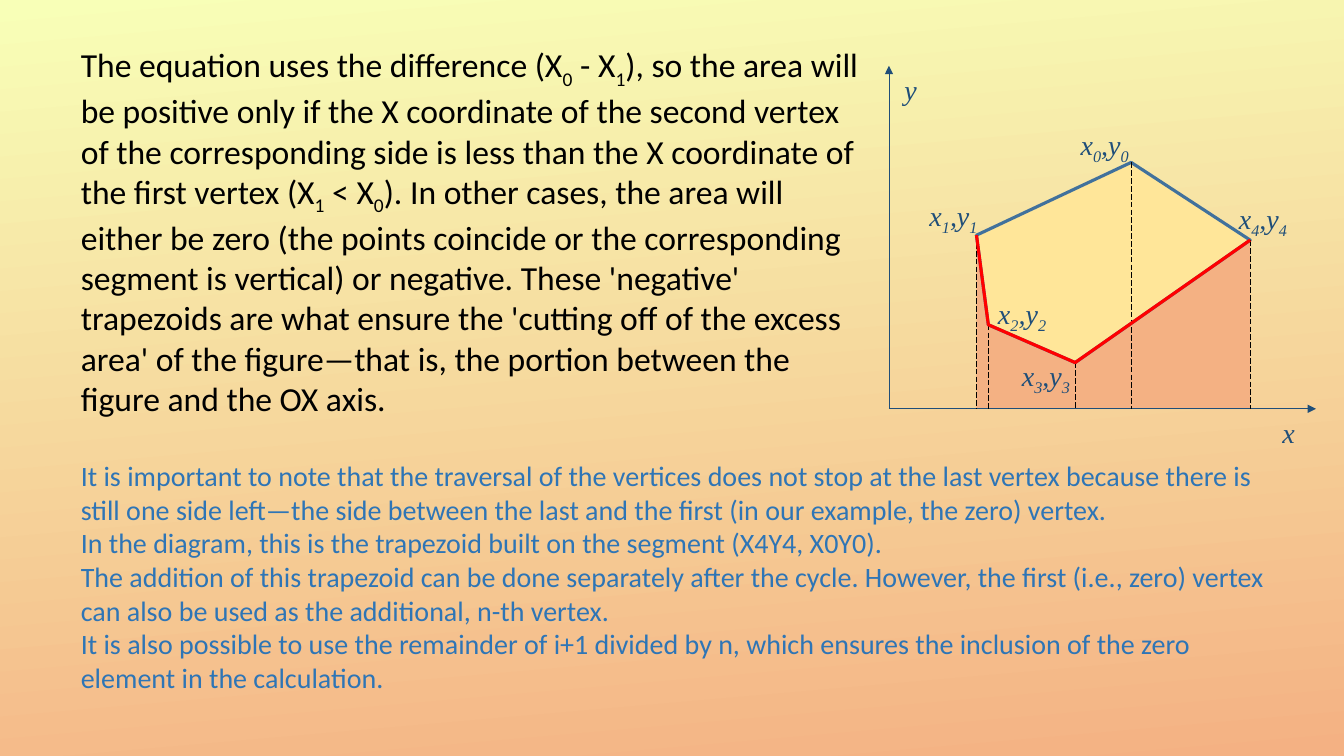
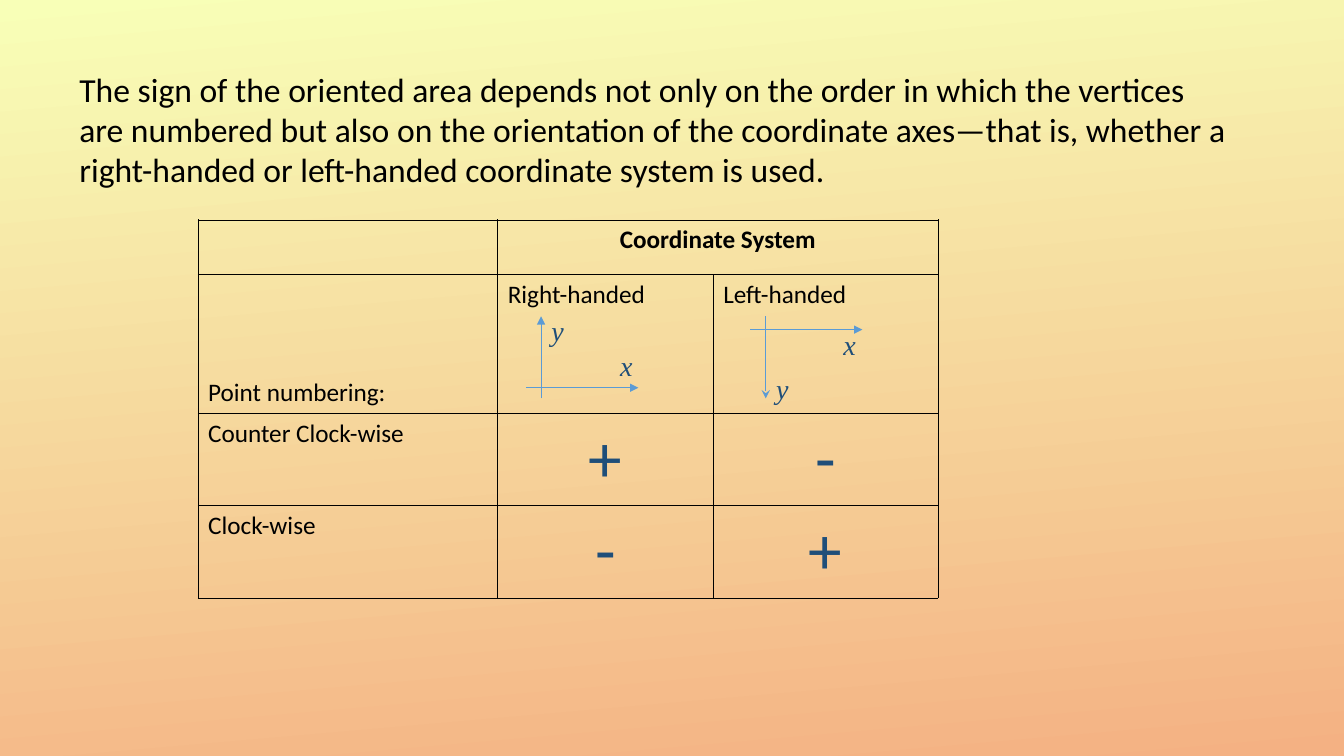
from lxml.etree import SubElement
from pptx import Presentation
from pptx.dml.color import RGBColor
from pptx.enum.dml import MSO_LINE
from pptx.enum.shapes import MSO_CONNECTOR
from pptx.enum.text import MSO_ANCHOR, MSO_AUTO_SIZE, PP_ALIGN
from pptx.oxml.ns import qn
from pptx.util import Pt

# Shared look
BLACK, NAVY, BLUE = "000000", "1F4E79", "2E75B6"
SKY, STEEL, RED = "5B9BD5", "41719C", "FF0000"
CREAM, ORANGE, PALE = "FFE699", "F4B183", "F8FFB7"
HAIRLINE, EDGE = 0.5, 2.25

LEAD = {"name": "Calibri", "size": Pt(24), "bold": False}
NOTE = {"name": "Calibri", "size": Pt(20)}
LABEL = {"name": "Times New Roman", "size": Pt(20), "italic": True}
CELL = {"name": "Calibri", "size": Pt(18), "bold": False}
HEADING = {**CELL, "bold": True}
SIGN = {**CELL, "size": Pt(48)}

# Slide 1 content; "_" puts the next character in subscript
DIFFERENCE = (
    "The equation uses the difference (X_0 - X_1), so the area will be positive "
    "only if the X coordinate of the second vertex of the corresponding side is "
    "less than the X coordinate of the first vertex (X_1 < X_0). In other cases, "
    "the area will either be zero (the points coincide or the corresponding "
    "segment is vertical) or negative. These 'negative' trapezoids are what "
    "ensure the 'cutting off of the excess area' of the figure—that is, the "
    "portion between the figure and the OX axis.")
TRAVERSAL = [
    "It is important to note that the traversal of the vertices does not stop at "
    "the last vertex because there is still one side left—the side between the "
    "last and the first (in our example, the zero) vertex.",
    "In the diagram, this is the trapezoid built on the segment (X4Y4, X0Y0).",
    "The addition of this trapezoid can be done separately after the cycle. "
    "However, the first (i.e., zero) vertex can also be used as the additional, "
    "n-th vertex.",
    "It is also possible to use the remainder of i+1 divided by n, which ensures "
    "the inclusion of the zero element in the calculation.",
]
VERTICES = [(808, 116), (697.5, 168), (706, 232), (768, 259), (893, 171.5)]
VERTEX_LABELS = [(769, 86), (661, 137), (710, 207), (727, 251), (882, 139)]
ORIGIN, X_END, Y_END = (635, 292), (940, 292), (635, 47)
AXIS_LABELS = [("x", (913, 292)), ("y", (643, 47))]

# Slide 2 content
ORIENTATION = (
    "The sign of the oriented area depends not only on the order in which the "
    "vertices are numbered but also on the orientation of the coordinate "
    "axes—that is, whether a right-handed or left-handed coordinate system is used.")
SIGN_ROWS = [
    ["", "Coordinate System", ""],
    ["Point numbering:", "Right-handed", "Left-handed"],
    ["Counter Clock-wise", "+", "-"],
    ["Clock-wise", "-", "+"],
]
COLUMN_WIDTHS, ROW_HEIGHTS = [214, 154, 160.5], [39, 99.5, 65, 65]
AXIS_PAIRS = [
    {"x": [(376, 277), (456, 277)], "y": [(386.5, 284.5), (386.5, 226)],
     "y_head": "triangle", "labels": [("x", (440, 244.5)), ("y", (391, 219.5))]},
    {"x": [(536, 235.5), (616, 235.5)], "y": [(547, 226), (547, 284.5)],
     "y_head": "stealth", "labels": [("x", (599.5, 229)), ("y", (551.5, 261))]},
]


def paint(colour, hex_value):
    colour.rgb = RGBColor.from_string(hex_value)


def fill_with(fill, hex_value):
    fill.solid()
    paint(fill.fore_color, hex_value)


def write(paragraph, text, font, hex_value):
    """Add the text as runs, with subscripts after each underscore."""
    plain, *marked = text.split("_")
    pieces = [(plain, False)]
    for part in marked:
        pieces += [(part[0], True), (part[1:], False)]
    for piece, lowered in pieces:
        if not piece:
            continue
        run = paragraph.add_run()
        run.text = piece
        for name, value in font.items():
            setattr(run.font, name, value)
        paint(run.font.color, hex_value)
        if lowered:
            run.font._element.set("baseline", "-25000")


def fill_placeholder(holder, box, texts, font, hex_value):
    holder.left, holder.top, holder.width, holder.height = map(Pt, box)
    frame = holder.text_frame
    frame.word_wrap = True
    frame.auto_size = MSO_AUTO_SIZE.NONE
    frame.vertical_anchor = MSO_ANCHOR.TOP
    for i, text in enumerate(texts):
        paragraph = frame.add_paragraph() if i else frame.paragraphs[0]
        paragraph.alignment = PP_ALIGN.LEFT
        paragraph.space_before = Pt(0)
        properties = paragraph._p.get_or_add_pPr()
        properties.set("marL", "0")
        properties.set("indent", "0")
        SubElement(properties, qn("a:buNone"))
        write(paragraph, text, font, hex_value)


def add_label(shapes, text, corner, width=58):
    frame = shapes.add_textbox(*map(Pt, corner), Pt(width), Pt(32)).text_frame
    frame.word_wrap = True
    for side in ("left", "right", "top", "bottom"):
        setattr(frame, f"margin_{side}", Pt(2.9))
    frame.paragraphs[0].line_spacing = 1.07
    write(frame.paragraphs[0], text, LABEL, NAVY)


def add_line(shapes, start, end, hex_value, head=None, dash=None):
    connector = shapes.add_connector(
        MSO_CONNECTOR.STRAIGHT, *map(Pt, (*start, *end)))
    connector.line.width = Pt(HAIRLINE)
    paint(connector.line.color, hex_value)
    if dash:
        connector.line.dash_style = dash
    if head:
        SubElement(connector.line._get_or_add_ln(), qn("a:tailEnd"), type=head)
    SubElement(connector._element.spPr, qn("a:effectLst"))


def add_outline(shapes, points, fill=None, line=None, closed=True):
    first, *rest = [tuple(map(Pt, point)) for point in points]
    builder = shapes.build_freeform(*first)
    builder.add_line_segments(rest, close=closed)
    outline = builder.convert_to_shape()
    outline.shadow.inherit = False
    if fill:
        fill_with(outline.fill, fill)
    else:
        outline.fill.background()
    if line:
        outline.line.width = Pt(EDGE)
        paint(outline.line.color, line)
    else:
        outline.line.fill.background()


def add_polygon_figure(slide):
    figure = slide.shapes.add_group_shape().shapes
    ground = ORIGIN[1]
    lower_chain = VERTICES[1:]
    feet = [(x, ground) for x, _ in VERTICES]

    # Excess area, polygon and axes
    add_outline(figure, lower_chain + [feet[4], feet[1]], fill=ORANGE)
    add_outline(figure, VERTICES, fill=CREAM, line=STEEL)
    for end in (X_END, Y_END):
        add_line(figure, ORIGIN, end, NAVY, head="triangle")

    # Projections onto the OX axis and the negative sides
    for vertex, foot in zip(VERTICES, feet):
        add_line(figure, vertex, foot, BLACK, dash=MSO_LINE.LONG_DASH)
    add_outline(figure, lower_chain, line=RED, closed=False)

    for name, corner in AXIS_LABELS:
        add_label(figure, name, corner, width=27)
    for i, corner in enumerate(VERTEX_LABELS):
        add_label(figure, f"x_{i},y_{i}", corner)


def add_borders(cell):
    properties = cell._tc.get_or_add_tcPr()
    for side in ("lnL", "lnR", "lnT", "lnB"):
        border = SubElement(properties, qn(f"a:{side}"), w=str(Pt(HAIRLINE)))
        solid = SubElement(border, qn("a:solidFill"))
        SubElement(solid, qn("a:srgbClr"), val=BLACK)


def add_sign_table(slide):
    table = slide.shapes.add_table(
        len(SIGN_ROWS), len(COLUMN_WIDTHS), Pt(141.5), Pt(157),
        Pt(sum(COLUMN_WIDTHS)), Pt(sum(ROW_HEIGHTS))).table
    table.first_row = table.horz_banding = False
    for column, width in zip(table.columns, COLUMN_WIDTHS):
        column.width = Pt(width)
    for row, height in zip(table.rows, ROW_HEIGHTS):
        row.height = Pt(height)
    for r, texts in enumerate(SIGN_ROWS):
        for c, text in enumerate(texts):
            cell = table.cell(r, c)
            add_borders(cell)
            cell.fill.background()
            paragraph = cell.text_frame.paragraphs[0]
            is_sign = text in ("+", "-")
            if is_sign or r == 0:
                paragraph.alignment = PP_ALIGN.CENTER
            font = SIGN if is_sign else HEADING if r == 0 else CELL
            write(paragraph, text, font, NAVY if is_sign else BLACK)
    table.cell(0, 1).merge(table.cell(0, 2))
    table.cell(1, 0).vertical_anchor = MSO_ANCHOR.BOTTOM


def main():
    prs = Presentation()
    prs.slide_width, prs.slide_height = Pt(960), Pt(540)

    # Background gradient for every slide
    backdrop = prs.slide_master.background.fill
    backdrop.gradient()
    backdrop.gradient_angle = 360 - 85
    for stop, position, hex_value in zip(
            backdrop.gradient_stops, (0, 1), (PALE, ORANGE)):
        stop.position = position
        paint(stop.color, hex_value)

    # Slide 1: excess area under the polygon
    area = prs.slides.add_slide(prs.slide_layouts.get_by_name("Title and Content"))
    fill_placeholder(area.shapes.title, (50.5, 28, 573, 274),
                     [DIFFERENCE], LEAD, BLACK)
    fill_placeholder(area.placeholders[1], (50.5, 324, 874, 176),
                     TRAVERSAL, NOTE, BLUE)
    add_polygon_figure(area)

    # Slide 2: sign of the area by coordinate system
    signs = prs.slides.add_slide(prs.slide_layouts.get_by_name("Title Only"))
    fill_placeholder(signs.shapes.title, (49.5, 45.5, 834.5, 93.5),
                     [ORIENTATION], LEAD, BLACK)
    add_sign_table(signs)
    for pair in AXIS_PAIRS:
        add_line(signs.shapes, *pair["x"], SKY, head="triangle")
        add_line(signs.shapes, *pair["y"], SKY, head=pair["y_head"])
        for name, corner in pair["labels"]:
            add_label(signs.shapes, name, corner, width=27)

    prs.save("out.pptx")


if __name__ == "__main__":
    main()
